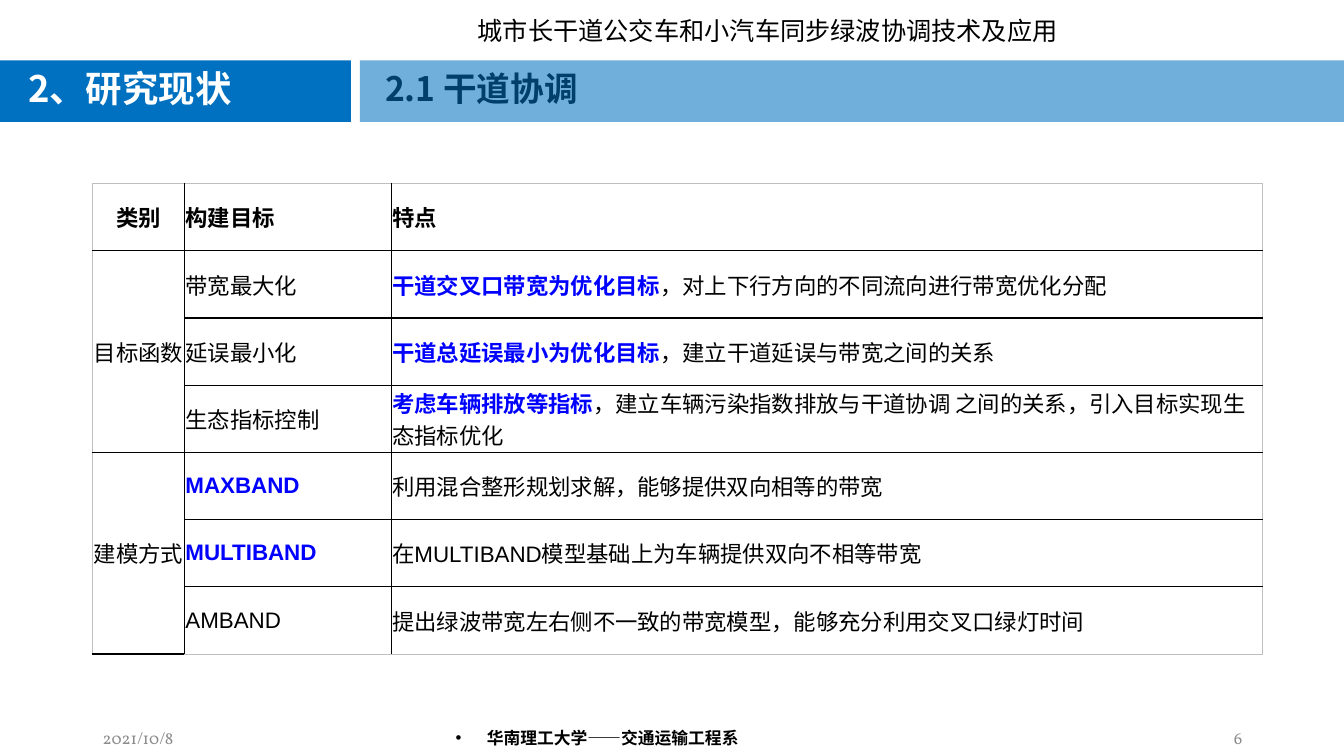
from lxml import etree
from pptx import Presentation
from pptx.dml.color import RGBColor
from pptx.enum.shapes import MSO_SHAPE
from pptx.enum.text import MSO_ANCHOR, PP_ALIGN
from pptx.oxml.ns import qn
from pptx.util import Inches, Pt

RECTANGLE = MSO_SHAPE.RECTANGLE
TOP, MIDDLE = MSO_ANCHOR.TOP, MSO_ANCHOR.MIDDLE
LEFT, CENTER, RIGHT = PP_ALIGN.LEFT, PP_ALIGN.CENTER, PP_ALIGN.RIGHT

COLORS = {"blue": "0070C0", "key": "0000FF", "black": "000000",
          "white": "FFFFFF", "muted": "8C8C8C", "frame": "BFBFBF"}
HEADING_FONT, FOOTER_FONT = "Noto Sans CJK SC", "Vollkorn"

PROJECT = "城市长干道公交车和小汽车同步绿波协调技术及应用"
CHAPTER = "2、研究现状"
SECTION = "2.1 干道协调"
DATE, DEPARTMENT, PAGE = "2021/10/8", "华南理工大学——交通运输工程系", "6"

HEADER = ["类别", "构建目标", "特点"]
# category -> rows of (goal, goal is key, key phrase, remaining text)
CATEGORIES = {
    "目标函数": [
        ("带宽最大化", False, "干道交叉口带宽为优化目标",
         "，对上下行方向的不同流向进行带宽优化分配"),
        ("延误最小化", False, "干道总延误最小为优化目标",
         "，建立干道延误与带宽之间的关系"),
        ("生态指标控制", False, "考虑车辆排放等指标",
         "，建立车辆污染指数排放与干道协调 之间的关系，引入目标实现生态指标优化"),
    ],
    "建模方式": [
        ("MAXBAND", True, "", "利用混合整形规划求解，能够提供双向相等的带宽"),
        ("MULTIBAND", True, "", "在MULTIBAND模型基础上为车辆提供双向不相等带宽"),
        ("AMBAND", False, "", "提出绿波带宽左右侧不一致的带宽模型，能够充分利用交叉口绿灯时间"),
    ],
}
COLUMN_WIDTHS = [0.91, 2.05, 8.64]
ROW_HEIGHT = 0.667
ROW_COUNT = 1 + sum(len(rows) for rows in CATEGORIES.values())


def rgb(name):
    return RGBColor.from_string(COLORS[name])


def style_run(run, font, size, color, bold=False):
    run.font.name, run.font.size, run.font.bold = font, Pt(size), bold
    run.font.color.rgb = rgb(color)
    east_asian = etree.Element(qn("a:ea"), typeface=HEADING_FONT)
    run.font._element.find(qn("a:latin")).addnext(east_asian)


def place(shape, left, top, width, height):
    shape.left, shape.top = Inches(left), Inches(top)
    shape.width, shape.height = Inches(width), Inches(height)


def write(shape, text, font, size, color, bold=False, align=LEFT, anchor=MIDDLE):
    frame = shape.text_frame
    frame.text = text
    frame.word_wrap = True
    frame.vertical_anchor = anchor
    paragraph = frame.paragraphs[0]
    paragraph.alignment = align
    style_run(paragraph.runs[0], font, size, color, bold)
    return paragraph


def add_label(slide, box, *args, **kwargs):
    label = slide.shapes.add_textbox(*map(Inches, box))
    return write(label, *args, **kwargs)


def add_band(slide, left, width, alpha=None):
    band = slide.shapes.add_shape(RECTANGLE, *map(Inches, (left, 0.6, width, 0.61)))
    band.shadow.inherit = False
    band.fill.solid()
    band.fill.fore_color.rgb = rgb("blue")
    band.line.fill.background()
    if alpha:
        color = band._element.spPr.find(".//" + qn("a:srgbClr"))
        etree.SubElement(color, qn("a:alpha"), val=str(alpha * 1000))


def set_bullet(paragraph):
    props = paragraph._p.get_or_add_pPr()
    indent = Inches(0.31)
    props.set("marL", str(indent))
    props.set("indent", str(-indent))
    etree.SubElement(props, qn("a:buFont"), typeface="Arial")
    etree.SubElement(props, qn("a:buChar"), char="•")


def set_borders(cell, row, column):
    """Black inner lines, light outer frame."""
    outer = {"lnL": column == 0, "lnR": column == len(HEADER) - 1,
             "lnT": row == 0, "lnB": row == ROW_COUNT - 1}
    props = cell._tc.get_or_add_tcPr()
    for position, (side, on_frame) in enumerate(outer.items()):
        line = etree.Element(qn("a:" + side), w=str(Pt(0.5 if on_frame else 1)))
        fill = etree.SubElement(line, qn("a:solidFill"))
        etree.SubElement(fill, qn("a:srgbClr"),
                         val=COLORS["frame" if on_frame else "black"])
        props.insert(position, line)


def fill_cell(cell, pieces, align=LEFT):
    """Write (text, color, bold) pieces into one cell."""
    paragraph = cell.text_frame.paragraphs[0]
    paragraph.alignment = align
    for text, color, bold in pieces:
        run = paragraph.add_run()
        run.text = text
        style_run(run, "Arial", 16, color, bold)


def add_methods_table(slide):
    table = slide.shapes.add_table(
        ROW_COUNT, len(HEADER), Inches(0.92), Inches(1.82),
        Inches(sum(COLUMN_WIDTHS)), Inches(ROW_HEIGHT * ROW_COUNT)).table
    table.first_row = table.horz_banding = False
    for column, width in zip(table.columns, COLUMN_WIDTHS):
        column.width = Inches(width)
    for r, row in enumerate(table.rows):
        row.height = Inches(ROW_HEIGHT)
        for c, cell in enumerate(row.cells):
            cell.fill.background()
            cell.vertical_anchor = MIDDLE
            cell.margin_left = cell.margin_right = Inches(0.01)
            cell.margin_top = cell.margin_bottom = 0
            set_borders(cell, r, c)

    for c, heading in enumerate(HEADER):
        fill_cell(table.cell(0, c), [(heading, "black", True)],
                  LEFT if c else CENTER)
    first = 1
    for category, rows in CATEGORIES.items():
        table.cell(first, 0).merge(table.cell(first + len(rows) - 1, 0))
        fill_cell(table.cell(first, 0), [(category, "black", False)], CENTER)
        for r, (goal, is_key, phrase, rest) in enumerate(rows, first):
            fill_cell(table.cell(r, 1),
                      [(goal, "key" if is_key else "black", is_key)])
            feature = [(phrase, "key", True)] if phrase else []
            fill_cell(table.cell(r, 2), feature + [(rest, "black", False)])
        first += len(rows)


def main():
    deck = Presentation()
    deck.slide_width, deck.slide_height = Inches(13.33), Inches(7.5)
    slide = deck.slides.add_slide(deck.slide_layouts[5])

    add_band(slide, 3.57, 9.76, alpha=56)
    add_band(slide, 0, 3.48)
    add_label(slide, (4.64, 0.1, 6.16, 0.4), PROJECT, "Calibri", 18, "black",
              anchor=TOP)

    title = slide.shapes.title
    place(title, 3.72, 0.64, 9.23, 0.52)
    section = write(title, SECTION, HEADING_FONT, 24, "black", bold=True)
    chapter = add_label(slide, (0.18, 0.64, 3.16, 0.52), CHAPTER,
                        HEADING_FONT, 26, "white", bold=True)
    section.line_spacing = chapter.line_spacing = 0.9

    add_label(slide, (0.92, 7.14, 3, 0.35), DATE, FOOTER_FONT, 12, "muted")
    add_label(slide, (9.42, 7.14, 3, 0.35), PAGE, FOOTER_FONT, 12, "muted",
              align=RIGHT)
    department = add_label(slide, (4.42, 7.14, 4.5, 0.35), DEPARTMENT,
                           FOOTER_FONT, 12, "black", bold=True)
    set_bullet(department)

    add_methods_table(slide)
    deck.save("out.pptx")


if __name__ == "__main__":
    main()
